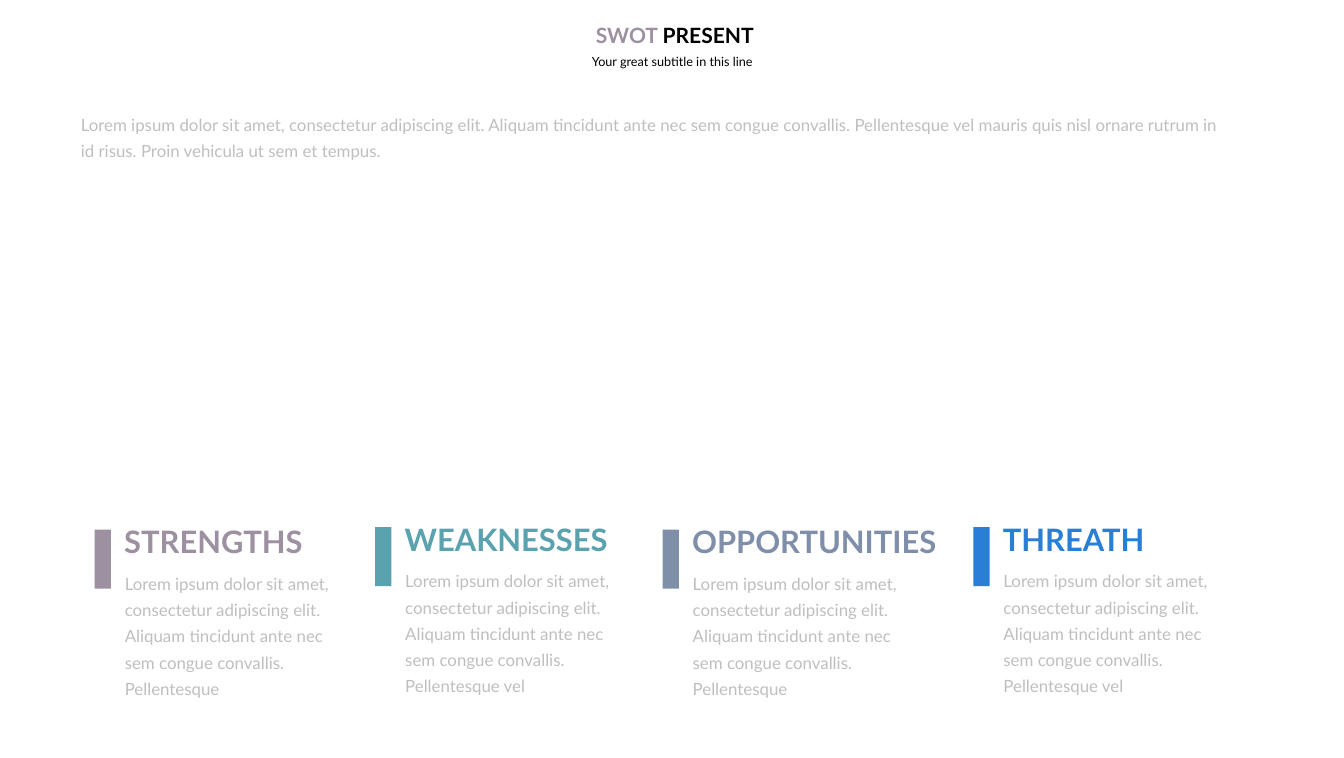
"""Build a SWOT slide with an introduction and four coloured columns."""
from pptx import Presentation
from pptx.dml.color import RGBColor
from pptx.enum.shapes import MSO_SHAPE as SHAPE
from pptx.enum.text import MSO_ANCHOR as ANCHOR, MSO_AUTO_SIZE as AUTO, PP_ALIGN as ALIGN
from pptx.util import Inches, Pt

COLS, ROWS = 26.6, 15
CELL = Inches(1)
FONT = "Lato"

BLACK = RGBColor(0x00, 0x00, 0x00)
GREY = RGBColor(0xBF, 0xBF, 0xBF)
MAUVE = RGBColor(0x9D, 0x90, 0xA0)
TEAL = RGBColor(0x5A, 0xA2, 0xAE)
SLATE = RGBColor(0x7F, 0x8F, 0xA9)
BLUE = RGBColor(0x29, 0x7F, 0xD5)

LOREM = ("Lorem ipsum dolor sit amet, consectetur adipiscing elit. "
         "Aliquam tincidunt ante nec sem congue convallis. Pellentesque")
INTRO = LOREM + (" vel mauris quis nisl ornare rutrum in id risus. "
                 "Proin vehicula ut sem et tempus.")
SWOT = [
    ("STRENGTHS", MAUVE, 2.2, 10.3, 5.06, LOREM),
    ("WEAKNESSES", TEAL, 7.75, 10.25, 5.01, LOREM + " vel"),
    ("OPPORTUNITIES", SLATE, 13.44, 10.3, 5.06, LOREM),
    ("THREATH", BLUE, 19.59, 10.25, 5.01, LOREM + " vel"),
]


def cells(*counts):
    """Turn counts of grid cells into lengths."""
    return [round(n * CELL) for n in counts]


def add_text(s, box, runs, size, inset=(0.1, 0.05), bold=False,
             align=ALIGN.LEFT, anchor=ANCHOR.TOP, spacing=None):
    """Add a one-paragraph text box from (text, colour) runs."""
    sp = s.shapes.add_textbox(*cells(*box))
    tf = sp.text_frame
    tf.word_wrap = True
    tf.auto_size = AUTO.SHAPE_TO_FIT_TEXT
    tf.vertical_anchor = anchor
    tf.margin_left, tf.margin_top = tf.margin_right, tf.margin_bottom = cells(*inset)
    p = tf.paragraphs[0]
    p.alignment = align
    p.line_spacing = spacing
    for text, color in runs:
        r = p.add_run()
        r.text = text
        r.font.name = FONT
        r.font.size = Pt(size)
        r.font.bold = bold
        r.font.color.rgb = color


def add_body(s, box, text):
    """Add a grey, loosely spaced body text."""
    add_text(s, box, [(text, GREY)], 24, (0.27, 0.13),
             anchor=ANCHOR.MIDDLE, spacing=1.3)


def add_bar(s, box, color):
    """Add a plain bar turned upright."""
    sp = s.shapes.add_shape(SHAPE.RECTANGLE, *cells(*box))
    sp.rotation = 270
    sp.shadow.inherit = False
    sp.fill.solid()
    sp.fill.fore_color.rgb = color
    sp.line.fill.background()


def add_column(s, heading, color, left, top, width, text):
    """Add a body text with its heading and bar."""
    add_body(s, (left, top + 0.785, width, 2.89), text)
    add_text(s, (left + 0.16, top, 5.52, 0.84), [(heading, color)], 44, bold=True)
    add_bar(s, (left - 0.75, top + 0.605, 1.17, 0.32), color)


def main():
    """Build and save the slide."""
    prs = Presentation()
    prs.slide_width, prs.slide_height = cells(COLS, ROWS)
    s = prs.slides.add_slide(prs.slide_layouts[6])
    add_text(s, (9.22, 0.95, 8.17, 0.55), [("Your great subtitle in this line", BLACK)],
             18, (0.24, 0.12), align=ALIGN.CENTER)
    add_text(s, (8.3, 0.34, 10.11, 0.71), [("SWOT ", MAUVE), ("PRESENT", BLACK)],
             30, (0.2, 0.1), bold=True, align=ALIGN.CENTER)
    for column in SWOT:
        add_column(s, *column)
    add_body(s, (1.33, 2.01, 23.14, 1.32), INTRO)
    prs.save("out.pptx")


if __name__ == "__main__":
    main()
